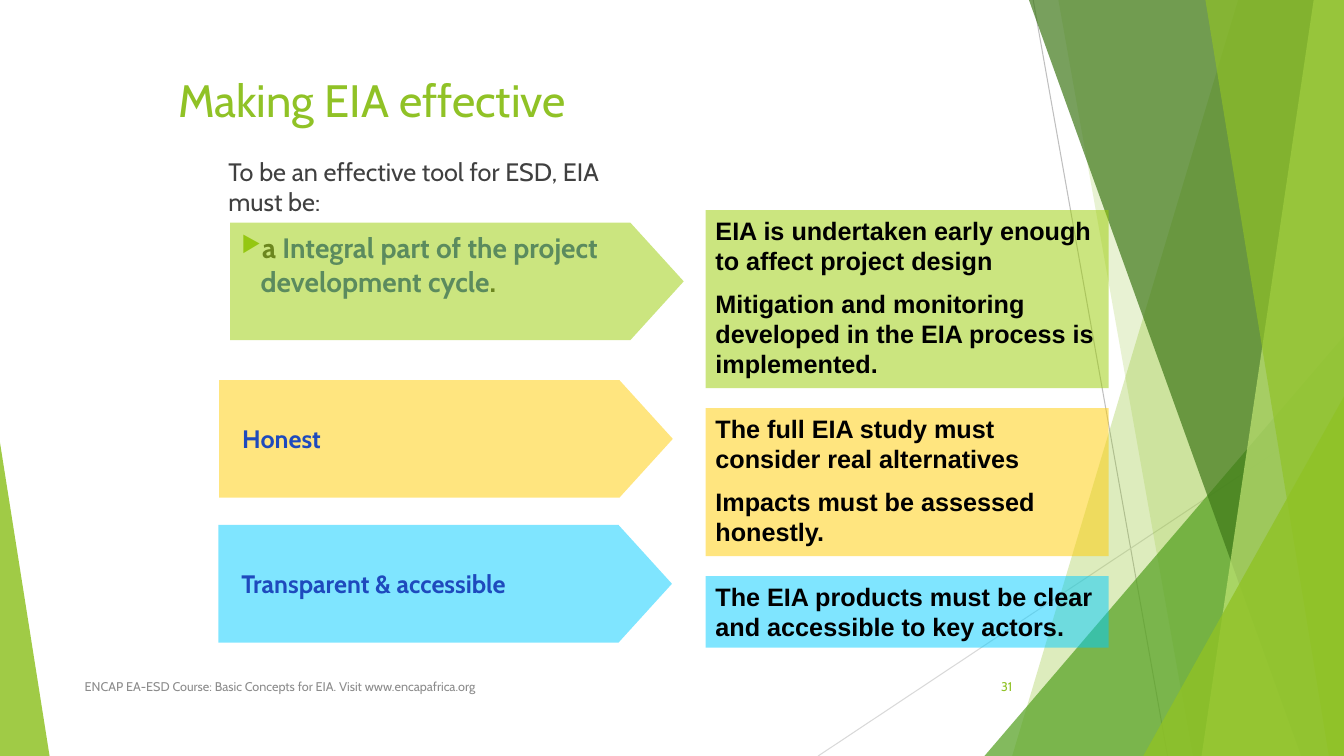
from dataclasses import dataclass
from lxml.etree import SubElement as Sub
from pptx import Presentation
from pptx.dml.color import RGBColor as RGB
from pptx.enum.shapes import MSO_CONNECTOR as Link, MSO_SHAPE as Kind
from pptx.enum.text import MSO_ANCHOR as Anchor, MSO_AUTO_SIZE as Fit, PP_ALIGN as Align
from pptx.oxml.ns import qn
from pptx.util import Emu, Pt

COLS, ROWS, UNIT = 160, 90, 76200


@dataclass(frozen=True)
class Theme:
    lime: str = "90C226"
    leaf: str = "54A021"
    moss: str = "3F7819"
    pale: str = "C0E474"
    ash: str = "BFBFBF"
    mist: str = "D9D9D9"
    dark: str = "404040"
    gray: str = "8C8C8C"
    blue: str = "1E4ABD"
    black: str = "000000"
    green: str = "99CC00"
    gold: str = "FFCC00"
    aqua: str = "00CCFF"
    sans: str = "Cabin"
    bold: str = "Arial"
    head: float = 32.4
    point: float = 20
    text: float = 18
    small: float = 9


LOOK = Theme()


def grid(*spans):
    return [Emu(round(span * UNIT)) for span in spans]


def paint(shape, color, alpha):
    shape.shadow.inherit = False
    shape.fill.solid()
    shape.fill.fore_color.rgb = RGB.from_string(color)
    shape.line.fill.background()
    tone = shape.fill._xPr.find(qn("a:solidFill"))[0]
    Sub(tone, qn("a:alpha"), val=str(alpha * 1000))


def block(slide, kind, box, color, alpha, bend=None):
    shape = slide.shapes.add_shape(kind, *grid(*box))
    if bend is not None:
        shape.adjustments[0] = bend
    paint(shape, color, alpha)
    return shape


def facet(slide, box, top, base, color, alpha):
    x, y, w, h = box
    spots = [grid(*spot) for spot in
             ((x + top, y), (x + w, y), (x + w, y + h), (x + base, y + h))]
    pen = slide.shapes.build_freeform(*spots[0], scale=1.0)
    pen.add_line_segments(spots[1:], close=True)
    paint(pen.convert_to_shape(), color, alpha)


def wedge(slide, box, side, color, alpha):
    block(slide, Kind.ISOSCELES_TRIANGLE, box, color, alpha, side)


def thread(slide, start, end, color):
    line = slide.shapes.add_connector(Link.STRAIGHT, *grid(*start, *end))
    line.line.color.rgb = RGB.from_string(color)
    line.line.width = Pt(0.75)
    Sub(line._element.spPr, qn("a:effectLst"))


def setup(shape, anchor=Anchor.TOP):
    frame = shape.text_frame
    frame.word_wrap = True
    frame.auto_size = Fit.NONE
    frame.vertical_anchor = anchor
    return frame


def write(para, text, size, color, face=LOOK.sans, bold=False):
    run = para.add_run()
    run.text = text
    run.font.size = Pt(size)
    run.font.name = face
    run.font.bold = bold
    run.font.color.rgb = RGB.from_string(color)


def hang(para):
    para.level = 1
    para.alignment = Align.LEFT
    props = para._p.get_or_add_pPr()
    props.set("marL", "292608")
    props.set("indent", "-173736")
    return props


def label(slide, box, text, color, align=Align.LEFT):
    frame = setup(slide.shapes.add_textbox(*grid(*box)), Anchor.MIDDLE)
    frame.paragraphs[0].alignment = align
    write(frame.paragraphs[0], text, LOOK.small, color)


def decor(slide, box):
    x, y, w, h = box
    thread(slide, (x + 25.6, y), (x + 41.6, y + h), LOOK.ash)
    thread(slide, (x + w, y + 48.4), (x, y + h), LOOK.mist)
    facet(slide, box, 50, 23.1, LOOK.lime, 30)
    facet(slide, box, 28.6, 44.6, LOOK.lime, 20)
    wedge(slide, (x + 19.8, y + 40, w - 19.8, h - 40), 1, LOOK.leaf, 72)
    facet(slide, box, 25.1, 57.5, LOOK.moss, 70)
    facet(slide, box, 59, 45.65, LOOK.pale, 70)
    facet(slide, box, 46.1, 60.8, LOOK.lime, 65)
    wedge(slide, (x + 38.7, y + 47.2, w - 38.7, h - 47.2), 1, LOOK.lime, 80)


def header(slide, box):
    title = slide.shapes.title
    title.left, title.top, title.width, title.height = grid(*box)
    para = setup(title).paragraphs[0]
    para.alignment = Align.LEFT
    write(para, "Making EIA effective", LOOK.head, LOOK.lime)


def intro(slide, box):
    frame = setup(slide.shapes.add_textbox(*grid(*box)))
    write(frame.paragraphs[0], "To be an effective tool for ESD, EIA must be:",
          LOOK.text, LOOK.dark)
    para = frame.add_paragraph()
    props = hang(para)
    Sub(Sub(props, qn("a:buClr")), qn("a:srgbClr"), val=LOOK.lime)
    Sub(props, qn("a:buSzPct"), val="80000")
    Sub(props, qn("a:buChar"), char="▶")
    para.space_before = Pt(10)
    for text, color in (("a ", LOOK.dark),
                        ("Integral part of the project development cycle", LOOK.blue),
                        (".", LOOK.dark)):
        write(para, text, LOOK.point, color, bold=True)


def arrows(slide, box):
    x, y, w, h = box
    for dx, dy, color, text in ((1.4, 0, LOOK.green, ""),
                                (0.1, 18.75, LOOK.gold, "Honest"),
                                (0, 36, LOOK.aqua, "Transparent & accessible")):
        spot = (x + dx, y + dy, w, 14)
        shape = block(slide, Kind.PENTAGON, spot, color, 50, 0.454)
        if text:
            para = setup(shape, Anchor.MIDDLE).paragraphs[0]
            hang(para)
            write(para, text, LOOK.text, LOOK.blue, bold=True)


def panels(slide, box):
    x, y, w, h = box
    gap = 2.4
    for tall, color, lines in (
        (21.2, LOOK.green, (
            "EIA is undertaken early enough to affect project design",
            "Mitigation and monitoring developed in the EIA process is implemented.")),
        (17.6, LOOK.gold, (
            "The full EIA study must consider real alternatives",
            "Impacts must be assessed honestly.")),
        (8.5, LOOK.aqua, (
            "The EIA products must be clear and accessible to key actors.",)),
    ):
        frame = setup(block(slide, Kind.RECTANGLE, (x, y, w, tall), color, 50))
        for at, text in enumerate(lines):
            para = frame.add_paragraph() if at else frame.paragraphs[0]
            para.alignment = Align.LEFT
            if at:
                para.space_before = Pt(LOOK.text / 2)
            write(para, text, LOOK.text, LOOK.black, LOOK.bold, True)
        y += tall + gap


def footer(slide, box):
    x, y, w, h = box
    label(slide, (x, y, 82.7, h),
          "ENCAP EA-ESD Course: Basic Concepts for EIA. Visit www.encapafrica.org",
          LOOK.gray)
    label(slide, (x + w - 9, y, 9, h), "31", LOOK.lime, Align.RIGHT)


def main():
    deck = Presentation()
    deck.slide_width, deck.slide_height = grid(COLS, ROWS)
    slide = deck.slides.add_slide(deck.slide_layouts[5])
    decor(slide, (97.4, 0, 62.6, ROWS))
    wedge(slide, (0, 52.7, 5.9, 37.3), 0, LOOK.lime, 85)
    header(slide, (20, 8, 102, 8))
    intro(slide, (26, 18, 51, 48))
    arrows(slide, (26, 26.5, 54, 50))
    panels(slide, (84, 25, 48, 52.1))
    footer(slide, (8.9, 79.3, 112.8, 4.8))
    deck.save("out.pptx")


if __name__ == "__main__":
    main()
